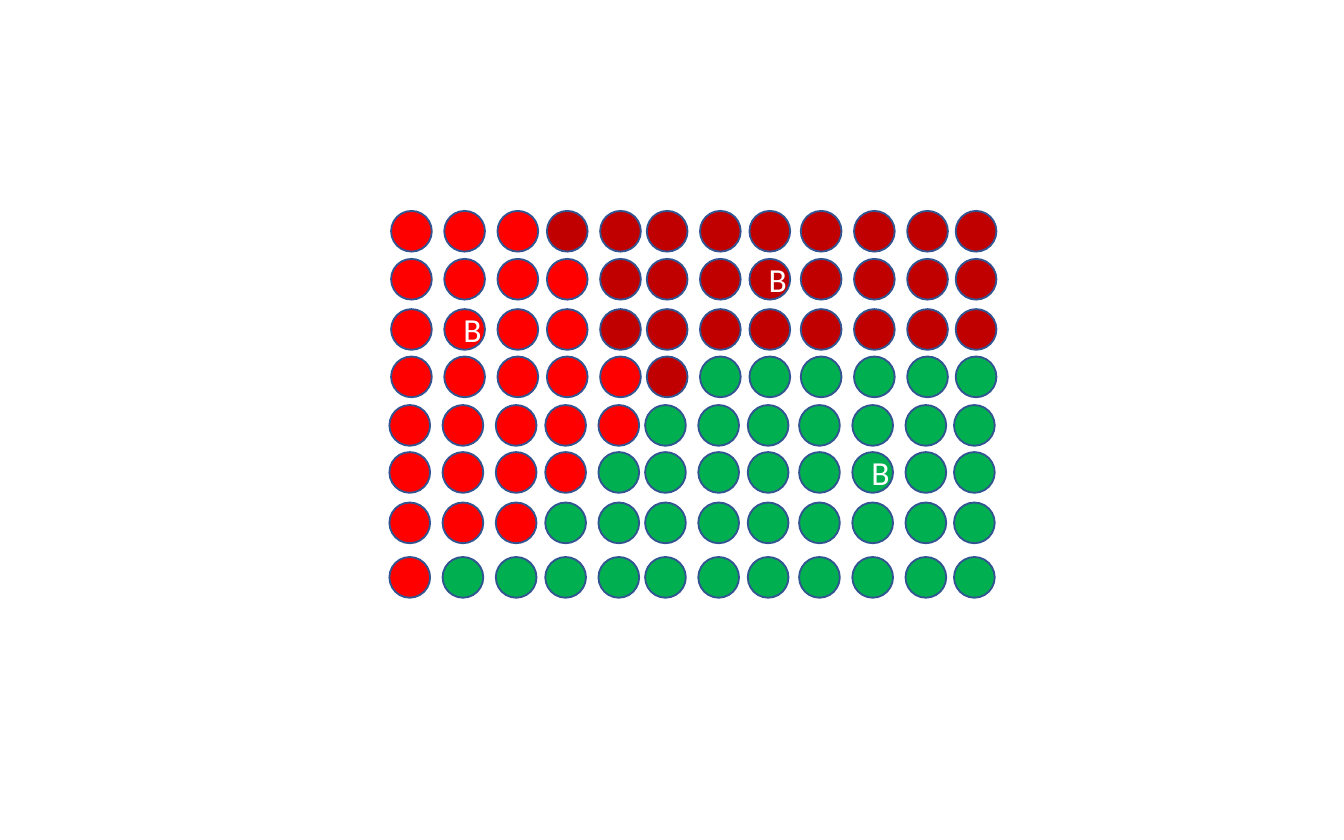
from dataclasses import dataclass

from pptx import Presentation
from pptx import util as u
from pptx.dml.color import RGBColor
from pptx.enum import shapes, text


@dataclass(frozen=True)
class Theme:
    red: str = "FF0000"
    dark_red: str = "C00000"
    green: str = "00B050"
    outline: str = "325491"
    label: str = "FFFFFF"
    font: str = "Calibri"
    label_size: float = 18
    line_width: float = 1


THEME = Theme()
DIAMETER = 21.8

# Offsets in points from the left and top of the dot field.
COLUMNS = (0, 28.5, 57, 83.5, 112, 137, 165.5, 192, 219.5, 248, 276.5, 302.5)
ROWS = (0, 25.7, 52.6, 78, 104, 129.2, 156.2, 185.4)
UPPER_ROWS = 4
LOWER_SHIFT = -0.9

# Number of red, dark red and green dots in each row.
COUNTS = (
    (3, 9, 0),
    (4, 8, 0),
    (4, 8, 0),
    (5, 1, 6),
    (5, 0, 7),
    (4, 0, 8),
    (3, 0, 9),
    (1, 0, 11),
)
LABELS = {(1, 7): "B", (2, 1): "B", (5, 9): "B"}


def add_dot(page, left, top, color, label=None):
    dot = page.shapes.add_shape(
        shapes.MSO_SHAPE.OVAL, u.Pt(left), u.Pt(top), u.Pt(DIAMETER), u.Pt(DIAMETER)
    )
    dot.shadow.inherit = False
    dot.fill.solid()
    dot.fill.fore_color.rgb = RGBColor.from_string(color)
    dot.line.color.rgb = RGBColor.from_string(THEME.outline)
    dot.line.width = u.Pt(THEME.line_width)
    if label:
        frame = dot.text_frame
        frame.word_wrap = True
        frame.vertical_anchor = text.MSO_ANCHOR.MIDDLE
        para = frame.paragraphs[0]
        para.alignment = text.PP_ALIGN.CENTER
        span = para.add_run()
        span.text = label
        span.font.name = THEME.font
        span.font.size = u.Pt(THEME.label_size)
        span.font.color.rgb = RGBColor.from_string(THEME.label)


def add_dot_field(page, left, top):
    """Draw the rows of dots, the lower half set slightly to the left."""
    palette = (THEME.red, THEME.dark_red, THEME.green)
    for row, (down, counts) in enumerate(zip(ROWS, COUNTS)):
        shift = 0 if row < UPPER_ROWS else LOWER_SHIFT
        colors = [color for color, count in zip(palette, counts) for _ in range(count)]
        for column, (across, color) in enumerate(zip(COLUMNS, colors)):
            label = LABELS.get((row, column))
            add_dot(page, left + across + shift, top + down, color, label)


def main():
    deck = Presentation()
    deck.slide_width, deck.slide_height = u.Pt(720), u.Pt(450)
    page = deck.slides.add_slide(deck.slide_layouts[6])
    add_dot_field(page, left=209.5, top=113)
    deck.save("out.pptx")


if __name__ == "__main__":
    main()
